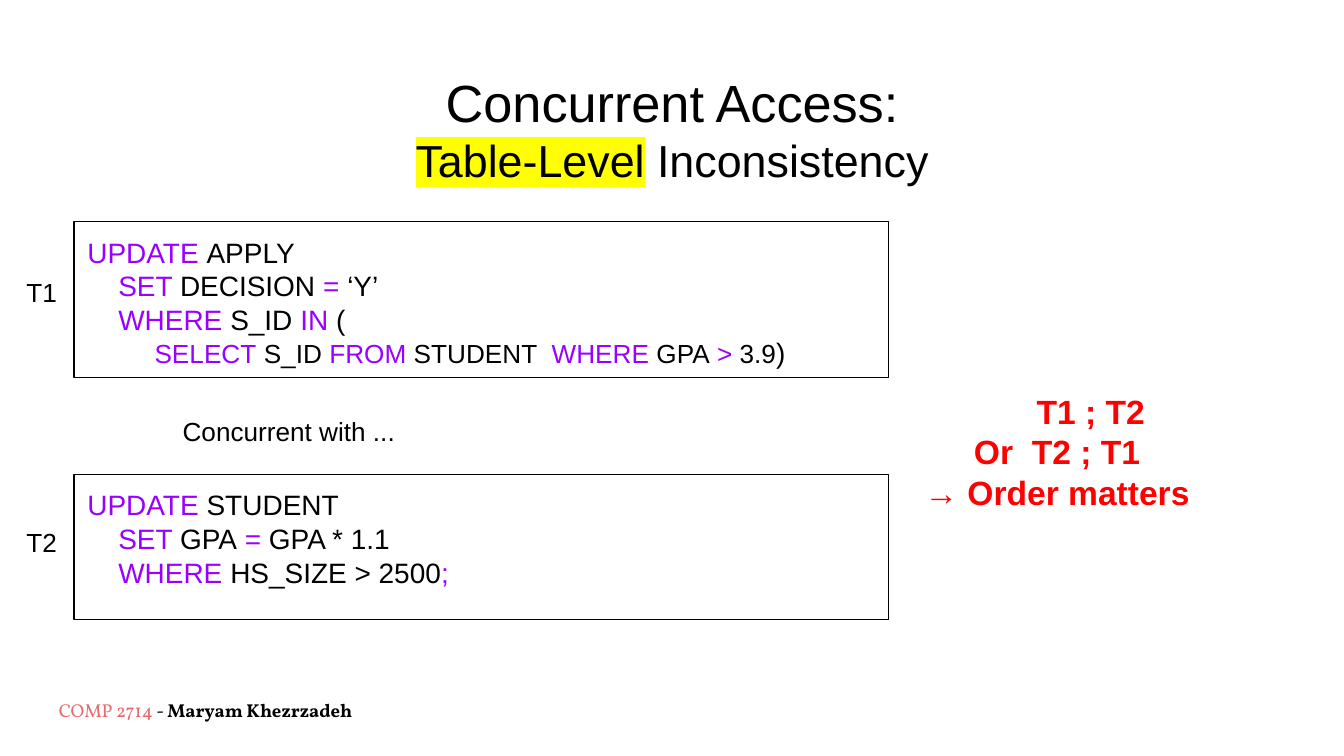
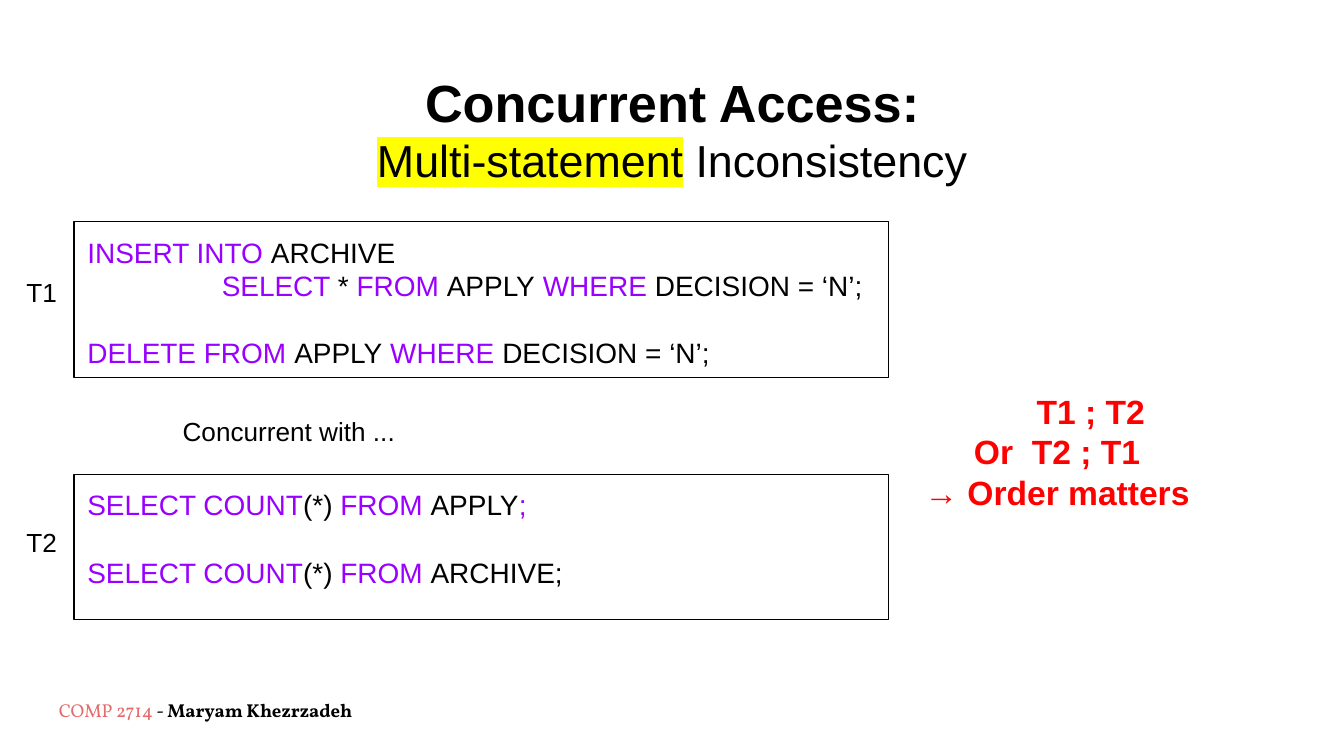
from pptx import Presentation
from pptx.dml.color import RGBColor
from pptx.enum.text import MSO_ANCHOR, MSO_AUTO_SIZE, PP_ALIGN
from pptx.oxml.ns import qn
from pptx.util import Inches, Pt
from lxml import etree

TOP = MSO_ANCHOR.TOP
NO_FIT = MSO_AUTO_SIZE.NONE
LEFT, CENTER = PP_ALIGN.LEFT, PP_ALIGN.CENTER

BLACK, PURPLE, RED = "000000", "9900FF", "FF0000"
CORAL, YELLOW = "E56B6A", "FFFF00"
SANS, SERIF = "Arial", "Vollkorn"
CODE_SIZE = 15

# Content: a code line is (indent, space before, size, text);
# "|" switches between keyword purple and plain black.
SLIDES = [
    {
        "topic": "Table-Level",
        "bold_title": False,
        "code": [
            [
                (0, 0, CODE_SIZE, "UPDATE |APPLY"),
                (0.23, 0, CODE_SIZE, "SET |DECISION| = |‘Y’"),
                (0.23, 0, CODE_SIZE, "WHERE |S_ID |IN |("),
                (0.5, 0, 14, "SELECT| S_ID |FROM| STUDENT  |WHERE |GPA| > |3.9||)"),
            ],
            [
                (0, 0, CODE_SIZE, "UPDATE |STUDENT"),
                (0.23, 0, CODE_SIZE, "SET |GPA| = |GPA * 1.1"),
                (0.23, 0, CODE_SIZE, "WHERE |HS_SIZE > 2500|;"),
            ],
        ],
    },
    {
        "topic": "Multi-statement",
        "bold_title": True,
        "code": [
            [
                (0, 0, CODE_SIZE, "INSERT INTO |ARCHIVE"),
                (1, 0, CODE_SIZE, "SELECT |*| FROM |APPLY| WHERE |DECISION = ‘N’;"),
                (0, 18, CODE_SIZE, "DELETE FROM |APPLY| WHERE |DECISION = ‘N’;"),
            ],
            [
                (0, 0, CODE_SIZE, "SELECT COUNT|(*) |FROM |APPLY|;"),
                (0, 18, CODE_SIZE, "SELECT COUNT|(*)| FROM |ARCHIVE;"),
            ],
        ],
    },
]
ORDER_NOTE = [(0.5, "T1 ; T2"), (0, " Or \tT2 ; T1 "), (0, "→ Order matters")]
FOOTER = [("COMP 2714", CORAL, False), (" - ", BLACK, False),
          ("Maryam Khezrzadeh", BLACK, True)]

# Places: left, top, width, height
TITLE_AT = (0.34, 0.42, 9.32, 0.95)
CODE_AT = [(0.55, 1.65, 6.06, 1.16), (0.55, 3.53, 6.06, 1.08)]
LABEL_AT = [(0, 1.96, 0.62, 0.5), (0, 3.82, 0.62, 0.5)]
BETWEEN_AT = (1.26, 2.99, 2.81, 0.37)
NOTE_AT = (6.37, 2.81, 2.99, 1.08)
FOOTER_AT = (0.34, 5.1, 3.78, 0.34)


def rgb(color):
    return RGBColor.from_string(color)


def prepare(sp, at):
    """Place a shape and give its text frame the shared settings."""
    sp.left, sp.top, sp.width, sp.height = map(Inches, at)
    tf = sp.text_frame
    tf.word_wrap = True
    tf.auto_size = NO_FIT
    tf.vertical_anchor = TOP
    tf.margin_left = tf.margin_right = Inches(0.1)
    tf.margin_top = tf.margin_bottom = Inches(0.1)
    return tf


def add_box(s, at):
    return prepare(s.shapes.add_textbox(*map(Inches, at)), at)


def add_paragraph(tf, first, align=LEFT, indent=0, hanging=0, before=0):
    p = tf.paragraphs[0] if first else tf.add_paragraph()
    p.alignment = align
    p.space_before = Pt(before)
    pPr = p._p.get_or_add_pPr()
    pPr.set("marL", str(Inches(indent)))
    pPr.set("indent", str(Inches(hanging)))
    etree.SubElement(pPr, qn("a:buNone"))
    tabs = etree.SubElement(pPr, qn("a:tabLst"))
    etree.SubElement(tabs, qn("a:tab"), pos=str(Inches(1)), algn="l")
    return p


def add_run(p, text, size, color=BLACK, bold=False, font=SANS, highlight=None):
    r = p.add_run()
    r.text = text
    r.font.size = Pt(size)
    r.font.bold = bold
    r.font.color.rgb = rgb(color)
    r.font.name = font
    if highlight:
        mark = etree.Element(qn("a:highlight"))
        etree.SubElement(mark, qn("a:srgbClr"), val=highlight)
        r._r.rPr.find(qn("a:solidFill")).addnext(mark)


def add_title(s, topic, bold):
    tf = prepare(s.shapes.title, TITLE_AT)
    add_run(add_paragraph(tf, True, CENTER), "Concurrent Access:", 28, bold=bold)
    p = add_paragraph(tf, False, CENTER)
    add_run(p, topic, 24, highlight=YELLOW)
    add_run(p, " Inconsistency", 24)


def add_code(sp, at, lines):
    tf = prepare(sp, at)
    sp.fill.background()
    sp.line.color.rgb = rgb(BLACK)
    sp.line.width = Pt(0.75)
    for i, (indent, before, size, text) in enumerate(lines):
        p = add_paragraph(tf, i == 0, indent=indent, before=before)
        for j, part in enumerate(text.split("|")):
            if part:
                # The closing bracket belongs to the full-size outer statement
                part_size = CODE_SIZE if part == ")" else size
                add_run(p, part, part_size, BLACK if j % 2 else PURPLE)


def add_label(s, at, text, align=LEFT):
    add_run(add_paragraph(add_box(s, at), True, align), text, 14)


def add_order_note(s):
    tf = add_box(s, NOTE_AT)
    for i, (hanging, text) in enumerate(ORDER_NOTE):
        p = add_paragraph(tf, i == 0, CENTER, hanging=hanging)
        add_run(p, text, 18, RED, bold=True)


def add_footer(s):
    p = add_paragraph(add_box(s, FOOTER_AT), True)
    for text, color, bold in FOOTER:
        add_run(p, text, 10, color, bold, SERIF)


def main():
    prs = Presentation()
    prs.slide_width = Inches(10)
    prs.slide_height = prs.slide_width * 9 // 16
    two_content = prs.slide_layouts[3]
    for content in SLIDES:
        s = prs.slides.add_slide(two_content)
        add_footer(s)
        add_title(s, content["topic"], content["bold_title"])
        # One code box and one label per transaction
        for i, lines in enumerate(content["code"]):
            add_code(s.placeholders[i + 1], CODE_AT[i], lines)
            add_label(s, LABEL_AT[i], f"T{i + 1}", CENTER)
        add_label(s, BETWEEN_AT, "Concurrent with ...")
        add_order_note(s)
    prs.save("out.pptx")


if __name__ == "__main__":
    main()
